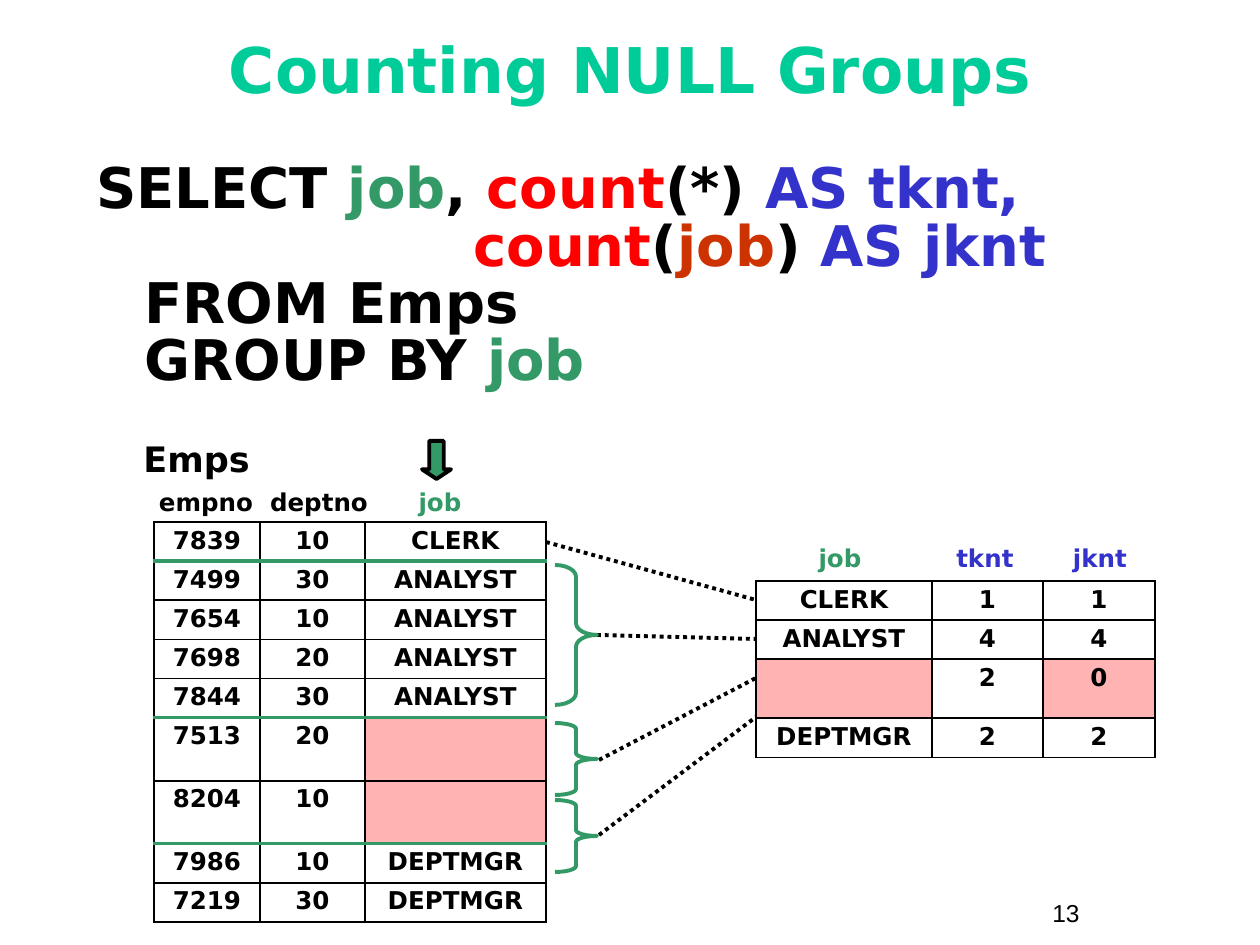
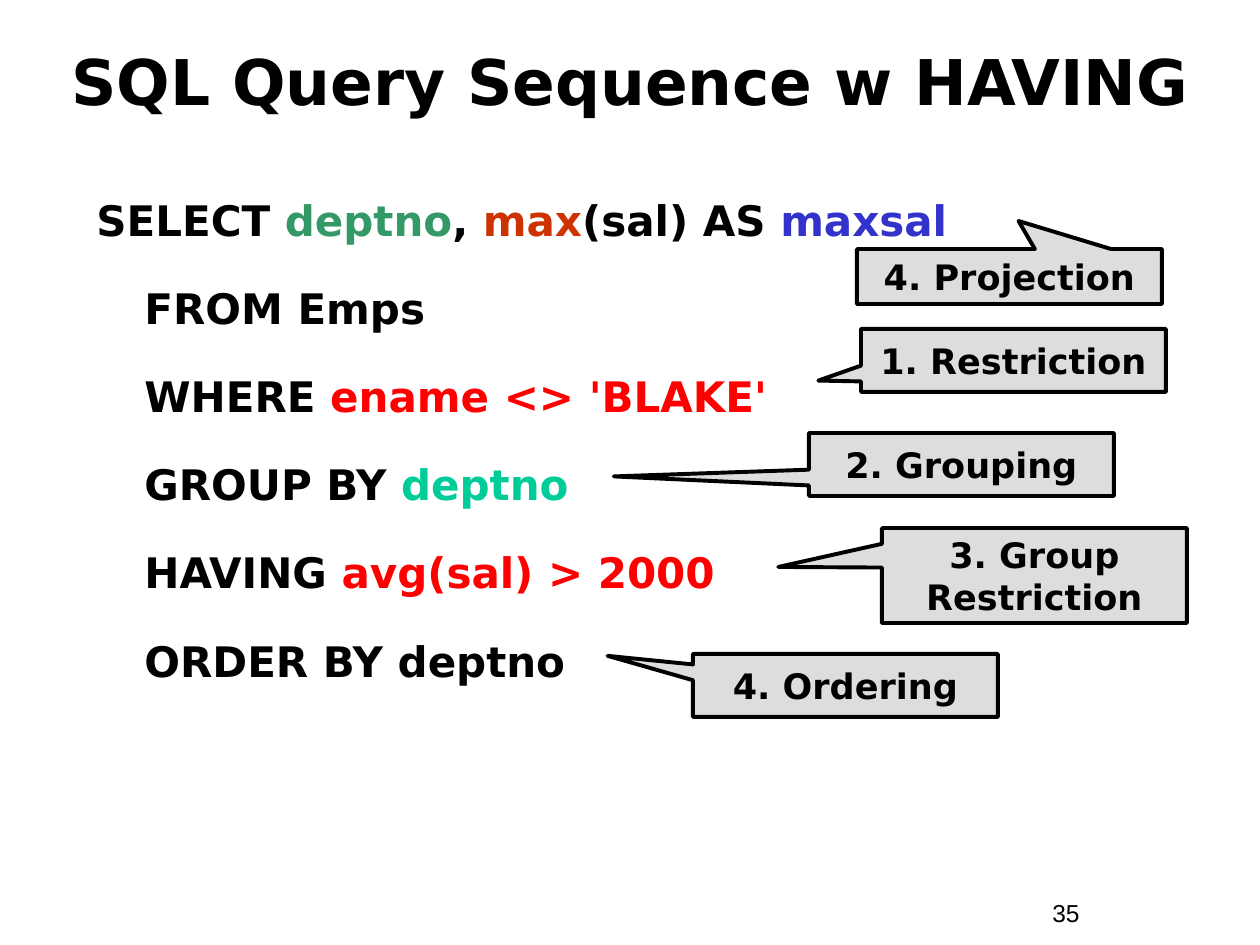
from lxml import etree
from pptx import Presentation
from pptx.dml.color import RGBColor
from pptx.enum.dml import MSO_LINE
from pptx.enum.shapes import MSO_CONNECTOR, MSO_SHAPE
from pptx.enum.text import MSO_ANCHOR, PP_ALIGN
from pptx.oxml.ns import qn
from pptx.util import Emu, Pt

STRAIGHT = MSO_CONNECTOR.STRAIGHT
DOTTED = MSO_LINE.ROUND_DOT
BRACE = MSO_SHAPE.RIGHT_BRACE
ARROW = MSO_SHAPE.DOWN_ARROW
CALLOUT = MSO_SHAPE.RECTANGULAR_CALLOUT
LEFT, CENTER = PP_ALIGN.LEFT, PP_ALIGN.CENTER
TOP, MIDDLE = MSO_ANCHOR.TOP, MSO_ANCHOR.MIDDLE

COLORS = {
    "black": "000000", "white": "FFFFFF", "mint": "00CC99", "green": "339966",
    "red": "FF0000", "rust": "CC3300", "blue": "3333CC", "pink": "FFB3B3",
    "grey": "DDDDDD",
}
EMU_PER_PX = 914400 / 126
SLIDE_WIDTH, SLIDE_HEIGHT = 1260, 945


def px(length):
    """Turn pixels into EMU."""
    return Emu(round(length * EMU_PER_PX))


def rgb(name):
    """Look up a named colour."""
    return RGBColor.from_string(COLORS[name])


class Deck:
    """Holds the shared style and the current slide."""

    font = "DejaVu Sans"
    line_width = 2.25
    thin_border = ("black", 1.08)
    group_border = ("green", 2.21)

    def __init__(self):
        self.presentation = Presentation()
        self.presentation.slide_width = px(SLIDE_WIDTH)
        self.presentation.slide_height = px(SLIDE_HEIGHT)
        self.slide = None

    def add_slide(self, number):
        """Start a blank slide with its page number."""
        layout = self.presentation.slide_layouts[6]
        self.slide = self.presentation.slides.add_slide(layout)
        self.text((1040, 892, 116, 43), str(number), 14, font="Arial", bold=False)

    def style(self, paragraph, size, color="black", align=LEFT, font=None, bold=True):
        """Format every run of a paragraph."""
        paragraph.alignment = align
        for run in paragraph.runs:
            run.font.name = font or self.font
            run.font.size = Pt(size)
            run.font.bold = bold
            run.font.color.rgb = rgb(color)

    def text_box(self, box, anchor=TOP):
        """Add an empty wrapping text box."""
        text_frame = self.slide.shapes.add_textbox(*map(px, box)).text_frame
        text_frame.word_wrap = True
        text_frame.vertical_anchor = anchor
        return text_frame

    def text(self, box, text, size, color="black", align=LEFT, anchor=TOP, **face):
        """Add a text box in one colour."""
        text_frame = self.text_box(box, anchor)
        text_frame.text = text
        self.style(text_frame.paragraphs[0], size, color, align, **face)

    def title(self, top, height, text, color="black"):
        """Add the centred slide title."""
        self.text((42, top, 1176, height), text, 36, color, CENTER, MIDDLE)

    def headings(self, top, labels):
        """Add column headings around their centres."""
        for center, label, color in labels:
            self.text((center - 70, top, 140, 43), label, 14, color, CENTER)

    def query(self, box, size, spacing, lines):
        """Add a query of indented lines made of coloured runs."""
        text_frame = self.text_box(box)
        for index, (indent, parts) in enumerate(lines):
            paragraph = text_frame.add_paragraph() if index else text_frame.paragraphs[0]
            paragraph._p.get_or_add_pPr().set("marL", str(px(indent)))
            paragraph.line_spacing = spacing
            for text, _ in parts:
                paragraph.add_run().text = text
            self.style(paragraph, size)
            for run, (_, color) in zip(paragraph.runs, parts):
                run.font.color.rgb = rgb(color)

    def border(self, cell, side, color, width):
        """Draw one side of a cell."""
        properties = cell._tc.get_or_add_tcPr()
        line = etree.SubElement(properties, qn(f"a:ln{side}"), w=str(Pt(width)))
        fill = etree.SubElement(line, qn("a:solidFill"))
        etree.SubElement(fill, qn("a:srgbClr"), val=COLORS[color])

    def table(self, left, top, widths, height, empty_height, rows, group_ends=()):
        """Add a grid with pink NULL cells and lines under groups."""
        heights = [empty_height if "" in row else height for row in rows]
        box = (left, top, sum(widths), sum(heights))
        shape = self.slide.shapes.add_table(len(rows), len(widths), *map(px, box))
        table = shape.table
        table.first_row = table.horz_banding = False
        for column, width in zip(table.columns, widths):
            column.width = px(width)
        for row_index, values in enumerate(rows):
            table.rows[row_index].height = px(heights[row_index])
            above = self.group_border if row_index - 1 in group_ends else self.thin_border
            below = self.group_border if row_index in group_ends else self.thin_border
            sides = {"L": self.thin_border, "R": self.thin_border, "T": above, "B": below}
            for column_index, value in enumerate(values):
                cell = table.cell(row_index, column_index)
                for side, stroke in sides.items():
                    self.border(cell, side, *stroke)
                cell.fill.solid()
                cell.fill.fore_color.rgb = rgb("pink" if value in ("", "0") else "white")
                cell.text_frame.text = value
                paragraph = cell.text_frame.paragraphs[0]
                paragraph.line_spacing = 0.9
                self.style(paragraph, 14, align=CENTER)

    def connector(self, start, end):
        """Add a dotted line."""
        line = self.slide.shapes.add_connector(STRAIGHT, *map(px, start + end))
        line.line.color.rgb = rgb("black")
        line.line.width = Pt(self.line_width)
        line.line.dash_style = DOTTED
        etree.SubElement(line._element.spPr, qn("a:effectLst"))

    def shape(self, kind, box, adjustments, fill=None, line="black"):
        """Add an outlined preset shape."""
        shape = self.slide.shapes.add_shape(kind, *map(px, box))
        shape.shadow.inherit = False
        for index, value in enumerate(adjustments):
            shape.adjustments[index] = value
        if fill:
            shape.fill.solid()
            shape.fill.fore_color.rgb = rgb(fill)
        else:
            shape.fill.background()
        shape.line.color.rgb = rgb(line)
        shape.line.width = Pt(self.line_width)
        return shape

    def callout(self, left, top, height, pointer, text):
        """Add a grey step callout."""
        shape = self.shape(CALLOUT, (left, top, 305, height), pointer, "grey")
        shape.text_frame.word_wrap = True
        shape.text_frame.vertical_anchor = MIDDLE
        shape.text_frame.text = text
        self.style(shape.text_frame.paragraphs[0], 20, align=CENTER)


def null_groups(deck):
    """Build the slide on counting NULL groups."""
    deck.add_slide(13)
    deck.title(10, 116, "Counting NULL Groups", "mint")
    deck.query((84, 157, 1134, 284), 32, 0.85, [
        (0, [("SELECT ", "black"), ("job", "green"), (", ", "black"),
             ("count", "red"), ("(*) ", "black"), ("AS tknt,", "blue")]),
        (377, [("count", "red"), ("(", "black"), ("job", "rust"),
               (") ", "black"), ("AS jknt", "blue")]),
        (48, [("FROM Emps", "black")]),
        (48, [("GROUP BY ", "black"), ("job", "green")]),
    ])
    deck.table(756, 581, (176, 111, 112), 39, 59, [
        ("CLERK", "1", "1"), ("ANALYST", "4", "4"), ("", "2", "0"), ("DEPTMGR", "2", "2"),
    ])
    deck.headings(537, [(840, "job", "green"), (985, "tknt", "blue"), (1100, "jknt", "blue")])
    for start, end in [((597, 635), (756, 639)), ((546, 542), (756, 600)),
                       ((599, 835), (756, 717)), ((599, 760), (756, 678))]:
        deck.connector(start, end)
    deck.table(154, 522, (106, 105, 181), 39, 63, [
        ("7839", "10", "CLERK"), ("7499", "30", "ANALYST"), ("7654", "10", "ANALYST"),
        ("7698", "20", "ANALYST"), ("7844", "30", "ANALYST"), ("7513", "20", ""),
        ("8204", "10", ""), ("7986", "10", "DEPTMGR"), ("7219", "30", "DEPTMGR"),
    ], group_ends=(0, 4, 6))
    deck.text((131, 431, 294, 55), "Emps", 20)
    for top, height, curve in [(565, 140, 0.28), (723, 72, 0.14), (800, 72, 0.14)]:
        deck.shape(BRACE, (555, top, 42, height), (curve, 0.5), line="green")
    deck.shape(ARROW, (422, 441, 29, 38), (0.5, 0.33), "green")
    deck.headings(481, [(206, "empno", "black"), (319, "deptno", "black"), (440, "job", "green")])


def query_sequence(deck):
    """Build the slide on the order of query steps."""
    deck.add_slide(35)
    deck.title(33, 94, "SQL Query Sequence w HAVING")
    deck.query((84, 150, 914, 596), 24, 1.75, [
        (0, [("SELECT ", "black"), ("deptno", "green"), (", ", "black"), ("max", "rust"),
             ("(sal) AS ", "black"), ("maxsal", "blue")]),
        (48, [("FROM Emps", "black")]),
        (48, [("WHERE ", "black"), ("ename <> 'BLAKE'", "red")]),
        (48, [("GROUP BY ", "black"), ("deptno", "mint")]),
        (48, [("HAVING ", "black"), ("avg(sal) > 2000", "red")]),
        (48, [("ORDER BY deptno", "black")]),
    ])
    for step in [
        (857, 249, 55, (0.03, -1.01), "4. Projection"),
        (861, 329, 63, (-0.64, 0.32), "1. Restriction"),
        (809, 433, 63, (-1.14, 0.19), "2. Grouping"),
        (882, 528, 95, (-0.84, -0.09), "3. Group\vRestriction"),
        (693, 654, 63, (-0.78, -0.47), "4. Ordering"),
    ]:
        deck.callout(*step)


def main():
    """Build and save both slides."""
    deck = Deck()
    null_groups(deck)
    query_sequence(deck)
    deck.presentation.save("out.pptx")


if __name__ == "__main__":
    main()
